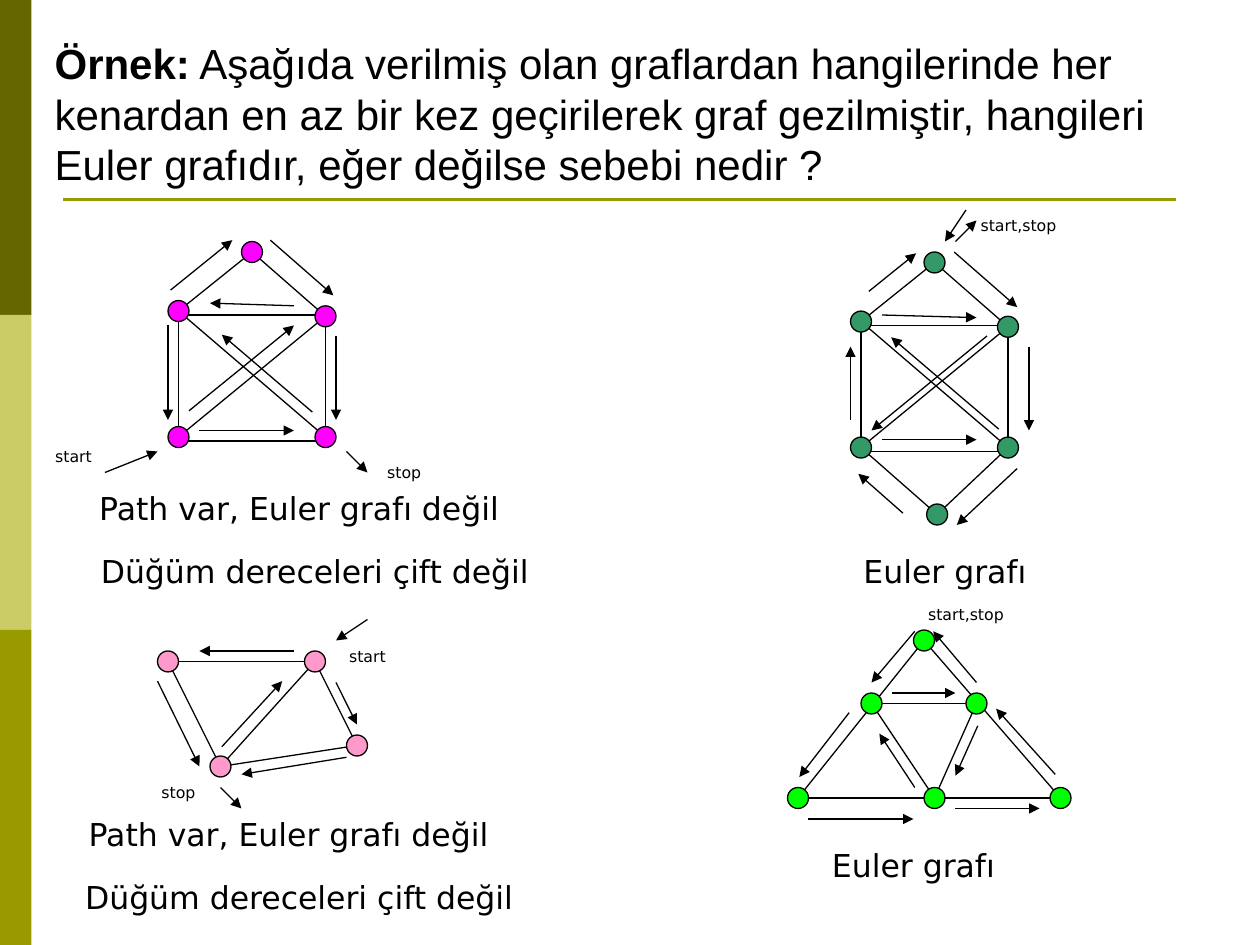
import math
from typing import NamedTuple

from lxml import etree
from pptx import Presentation
from pptx.dml.color import RGBColor
from pptx.enum import shapes, text
from pptx.oxml import ns
from pptx.util import Pt

PX = 914400 // 96
NODE_SIZE = 16
BLACK = RGBColor(0x00, 0x00, 0x00)
DARK_OLIVE = RGBColor(0x66, 0x66, 0x00)
PALE_OLIVE = RGBColor(0xCC, 0xCC, 0x66)
OLIVE = RGBColor(0x99, 0x99, 0x00)
MAGENTA = RGBColor(0xFF, 0x00, 0xFF)
PINK = RGBColor(0xFF, 0x99, 0xCC)
SEA_GREEN = RGBColor(0x33, 0x99, 0x66)
LIME = RGBColor(0x00, 0xFF, 0x00)


class Point(NamedTuple):
    x: int
    y: int


class Box(NamedTuple):
    left: int
    top: int
    width: int
    height: int


class Segment(NamedTuple):
    start: Point
    end: Point


class Gap(NamedTuple):
    side: int
    start: int
    end: int


class Label(NamedTuple):
    words: str
    center: int
    top: int


class Graph(NamedTuple):
    color: RGBColor
    nodes: dict[str, Point]
    edges: str
    hops: dict[Gap, str]
    entries: list[Segment]
    labels: list[Label]
    frame: Box | None = None


def house_nodes(dx: int, dy: int) -> dict[str, Point]:
    left, middle, right = 136 + dx, 192 + dx, 248 + dx
    return {"A": Point(middle, 192 + dy), "B": Point(left, 237 + dy),
            "C": Point(right, 241 + dy), "D": Point(left, 333 + dy),
            "E": Point(right, 333 + dy)}


def house_frame(dx: int, dy: int) -> Box:
    return Box(136 + dx, 240 + dy, 112, 96)


def beside(start: Point, end: Point, gap: Gap) -> Segment:
    length = math.dist(start, end)
    ux, uy = (end.x - start.x) / length, (end.y - start.y) / length
    shift_x, shift_y = uy * gap.side, -ux * gap.side
    return Segment(
        Point(round(start.x + ux * gap.start + shift_x), round(start.y + uy * gap.start + shift_y)),
        Point(round(end.x - ux * gap.end + shift_x), round(end.y - uy * gap.end + shift_y)))


def add_shape(target, kind, box: Box, fill: RGBColor | None, outlined: bool) -> None:
    shape = target.add_shape(kind, *(value * PX for value in box))
    shape.shadow.inherit = False
    if fill is None:
        shape.fill.background()
    else:
        shape.fill.solid()
        shape.fill.fore_color.rgb = fill
    if outlined:
        shape.line.color.rgb = BLACK
        shape.line.width = Pt(0.75)
    else:
        shape.line.fill.background()


def add_line(target, segment: Segment, color: RGBColor = BLACK,
             width: float = 0.75, arrow: bool = False) -> None:
    connector = target.add_connector(
        shapes.MSO_CONNECTOR.STRAIGHT, *(value * PX for point in segment for value in point))
    connector.line.color.rgb = color
    connector.line.width = Pt(width)
    if arrow:
        etree.SubElement(connector.line._get_or_add_ln(), ns.qn("a:tailEnd"), type="triangle")
    etree.SubElement(connector._element.spPr, ns.qn("a:effectLst"))


def add_label(target, label: Label, size: int, width: int, height: int) -> None:
    box = Box(label.center - width // 2, label.top, width, height)
    shape = target.add_textbox(*(value * PX for value in box))
    shape.text_frame.word_wrap = True
    paragraph = shape.text_frame.paragraphs[0]
    paragraph.text = label.words
    paragraph.alignment = text.PP_ALIGN.CENTER
    font = paragraph.runs[0].font
    font.name, font.size = "DejaVu Sans", Pt(size)
    font.color.rgb = BLACK


def add_graph(target, graph: Graph) -> None:
    if graph.frame:
        add_shape(target, shapes.MSO_SHAPE.RECTANGLE, graph.frame, None, True)
    for start, end in graph.edges.split():
        add_line(target, Segment(graph.nodes[start], graph.nodes[end]))
    for x, y in graph.nodes.values():
        box = Box(x - NODE_SIZE // 2, y - NODE_SIZE // 2, NODE_SIZE, NODE_SIZE)
        add_shape(target, shapes.MSO_SHAPE.OVAL, box, graph.color, True)


def add_walk(target, graph: Graph) -> None:
    for gap, hops in graph.hops.items():
        for start, end in hops.split():
            add_line(target, beside(graph.nodes[start], graph.nodes[end], gap), arrow=True)
    for entry in graph.entries:
        add_line(target, entry, arrow=True)
    for label in graph.labels:
        add_label(target, label, 9, 96, 24)


def set_title(title) -> None:
    title.left, title.top, title.width, title.height = (
        value * PX for value in Box(32, 24, 912, 125))
    frame = title.text_frame
    frame.word_wrap = True
    frame.auto_size = text.MSO_AUTO_SIZE.NONE
    frame.vertical_anchor = text.MSO_ANCHOR.TOP
    paragraph = frame.paragraphs[0]
    paragraph.alignment = text.PP_ALIGN.LEFT
    for words, bold in TITLE:
        run = paragraph.add_run()
        run.text = words
        run.font.name, run.font.size, run.font.bold = "Arial", Pt(24), bold
        run.font.color.rgb = BLACK


TITLE = [
    ("Örnek:", True),
    (" Aşağıda verilmiş olan graflardan hangilerinde her kenardan en az bir kez "
     "geçirilerek graf gezilmiştir, hangileri Euler grafıdır, eğer değilse sebebi nedir ?", False),
]
PATH_ONLY = "Path var, Euler grafı değil"
ODD_DEGREES = "Düğüm dereceleri çift değil"
EULER = "Euler grafı"
CAPTIONS = [
    Label(PATH_ONLY, 228, 368), Label(PATH_ONLY, 220, 616),
    Label(EULER, 720, 416), Label(EULER, 696, 640),
    Label(ODD_DEGREES, 240, 416), Label(ODD_DEGREES, 228, 664),
]
GRAPHS = [
    Graph(MAGENTA, house_nodes(0, 0), "BE DC BA AC",
          {Gap(5, 16, 24): "DE", Gap(-7, 24, 24): "CB", Gap(16, 5, 6): "BA AC",
           Gap(-8, 20, 37): "EB", Gap(10, 19, 23): "DC",
           Gap(-8, 11, 13): "BD", Gap(8, 15, 13): "CE"},
          [Segment(Point(80, 360), Point(120, 344)), Segment(Point(264, 344), Point(280, 360))],
          [Label("start", 56, 336), Label("stop", 308, 348)], house_frame(0, 0)),
    Graph(PINK,
          {"A": Point(128, 504), "B": Point(168, 584),
           "C": Point(272, 568), "D": Point(240, 504)},
          "AD BC DC AB DB",
          {Gap(-8, 16, 24): "DA", Gap(-14, 10, 7): "AB", Gap(9, 12, 28): "BD",
           Gap(7, 21, 14): "DC", Gap(8, 9, 15): "CB"},
          [Segment(Point(280, 472), Point(256, 488)), Segment(Point(168, 600), Point(184, 616))],
          [Label("start", 280, 488), Label("stop", 136, 592)]),
    Graph(SEA_GREEN, house_nodes(520, 8) | {"F": Point(714, 392)}, "FE DF BE DC BA AC",
          {Gap(16, 6, 5): "AC EF", Gap(16, 15, 13): "CE", Gap(16, 20, 12): "FD",
           Gap(6, 16, 24): "DE BC", Gap(-6, 15, 25): "EB", Gap(-5, 17, 14): "CD",
           Gap(8, 21, 19): "DB", Gap(14, 19, 7): "BA"},
          [Segment(Point(736, 160), Point(720, 184)), Segment(Point(728, 184), Point(744, 168))],
          [Label("start,stop", 776, 160)], house_frame(520, 8)),
    Graph(LIME,
          {"A": Point(704, 488), "B": Point(664, 536), "C": Point(744, 536),
           "D": Point(608, 608), "E": Point(712, 608), "F": Point(808, 608)},
          "AD AF DF BC BE CE",
          {Gap(-10, -1, 12): "AB", Gap(-10, 12, -1): "CA", Gap(8, 16, 16): "BC",
           Gap(8, 15, 22): "CE EB", Gap(-9, 16, 13): "BD FC",
           Gap(-16, 8, 16): "DE", Gap(-8, 16, 16): "EF"},
          [], [Label("start,stop", 736, 456)]),
]


def main() -> None:
    presentation = Presentation()
    presentation.slide_width, presentation.slide_height = 960 * PX, 720 * PX
    slide = presentation.slides.add_slide(presentation.slide_layouts[5])
    set_title(slide.shapes.title)
    for index, color in enumerate((DARK_OLIVE, PALE_OLIVE, OLIVE)):
        add_shape(slide.shapes, shapes.MSO_SHAPE.RECTANGLE,
                  Box(0, 240 * index, 24, 240), color, False)
    add_line(slide.shapes, Segment(Point(48, 152), Point(896, 152)), OLIVE, 1.5)
    for graph in GRAPHS:
        add_graph(slide.shapes.add_group_shape().shapes, graph)
    for caption in CAPTIONS:
        add_label(slide.shapes, caption, 18, 384, 38)
    for graph in GRAPHS:
        add_walk(slide.shapes.add_group_shape().shapes, graph)
    presentation.save("out.pptx")


if __name__ == "__main__":
    main()
